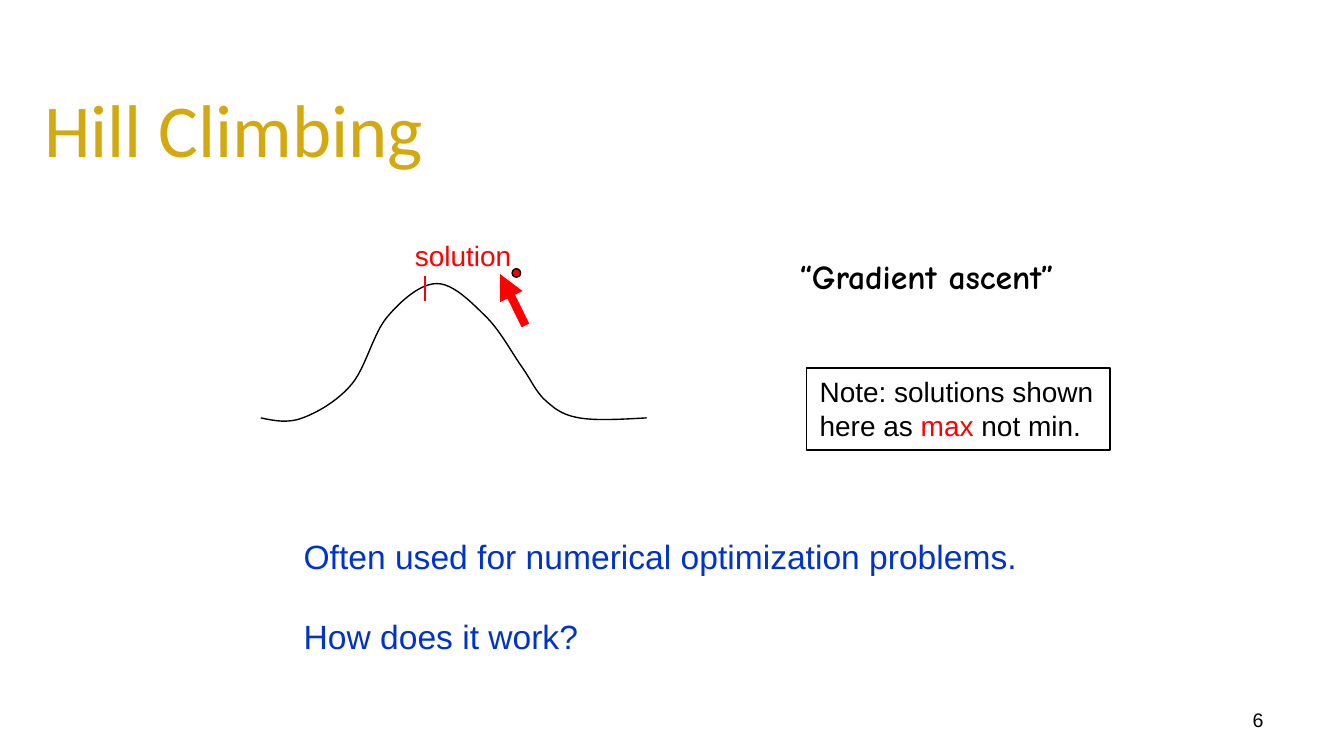
from lxml import etree
from pptx import Presentation
from pptx.dml.color import RGBColor
from pptx.enum.shapes import MSO_CONNECTOR, MSO_SHAPE
from pptx.enum.text import MSO_ANCHOR as ANCHOR, MSO_AUTO_SIZE as FIT, PP_ALIGN as ALIGN
from pptx.oxml.ns import qn
from pptx.util import Cm, Pt

COLORS = {"gold": "D3A90F", "black": "000000", "red": "FF0000", "blue": "0033CC"}

prs = Presentation()
prs.slide_width, prs.slide_height = Cm(25.4), Cm(14.29)
slide = prs.slides.add_slide(prs.slide_layouts[6])
shapes = slide.shapes


def color(name):
    return RGBColor.from_string(COLORS[name])


def write(box, *lines, size, ink="black", font="Arial", bold=False,
          align=ALIGN.LEFT, anchor=ANCHOR.TOP, fit=True, gap=0):
    """Add a text box; each line is a string or a list of (text, color) runs."""
    area = shapes.add_textbox(*[Cm(v) for v in box])
    frame = area.text_frame
    frame.word_wrap = not fit
    frame.auto_size = FIT.SHAPE_TO_FIT_TEXT if fit else FIT.NONE
    frame.vertical_anchor = anchor
    for i, line in enumerate(lines):
        para = frame.add_paragraph() if i else frame.paragraphs[0]
        para.alignment = align
        para.space_before = Pt(gap if i else 0)
        for text, run_ink in [(line, ink)] if isinstance(line, str) else line:
            run = para.add_run()
            run.text = text
            run.font.name, run.font.size, run.font.bold = font, Pt(size), bold
            run.font.color.rgb = color(run_ink)
    return area


# Slide number and title
write((18.21, 13.23, 5.92, 0.76), "6", size=10.5, align=ALIGN.RIGHT,
      anchor=ANCHOR.MIDDLE, fit=False)
write((-3.18, 1.22, 15.19, 2.39), "Hill Climbing", size=40, ink="gold",
      font="Calibri", align=ALIGN.CENTER, anchor=ANCHOR.MIDDLE, fit=False)

write((14.86, 4.72, 5.99, 1.02), "“Gradient ascent”", size=18,
      font="Comic Neue", bold=True)

# Current point beside the hill
point = shapes.add_shape(MSO_SHAPE.OVAL, Cm(9.68), Cm(5.08), Cm(0.16), Cm(0.16))
point.shadow.inherit = False
point.fill.solid()
point.fill.fore_color.rgb = color("red")
point.line.color.rgb = color("black")
point.line.width = Pt(0.75)

# Hill: a smooth (Catmull-Rom) curve; the first and last knots only set the end slopes
knots = [(4.19, 7.59), (4.93, 7.9), (5.72, 7.9), (6.65, 7.26), (7.32, 5.99),
         (8.26, 5.36), (9.19, 5.99), (9.86, 6.93), (10.31, 7.57),
         (10.95, 7.9), (12.22, 7.9), (13.84, 7.75)]
STEPS = 12
curve = [knots[1]]
for before, start, end, after in zip(knots, knots[1:], knots[2:], knots[3:]):
    for step in range(1, STEPS + 1):
        t = step / STEPS
        curve.append([
            (2 * b + (c - a) * t + (2 * a - 5 * b + 4 * c - d) * t**2
             + (3 * b - a - 3 * c + d) * t**3) / 2
            for a, b, c, d in zip(before, start, end, after)])
outline = [(Cm(x), Cm(y)) for x, y in curve]
builder = shapes.build_freeform(*outline[0])
builder.add_line_segments(outline[1:], close=False)
hill = builder.convert_to_shape()
hill.shadow.inherit = False
hill.fill.background()
hill.line.color.rgb = color("black")
hill.line.width = Pt(0.75)

# Solution label, its tick and the climbing arrow
write((7.59, 4.39, 2.36, 0.89), "solution", size=15, ink="red")
for ends, width, arrow in [((9.93, 6.15, 9.45, 5.18), 4.5, True),
                           ((8.03, 5.21, 8.03, 5.69), 0.75, False)]:
    stroke = shapes.add_connector(MSO_CONNECTOR.STRAIGHT, *[Cm(v) for v in ends])
    stroke.line.color.rgb = color("red")
    stroke.line.width = Pt(width)
    if arrow:
        etree.SubElement(stroke.line._get_or_add_ln(), qn("a:tailEnd"), type="triangle")
    etree.SubElement(stroke._element.spPr, qn("a:effectLst"))

# Framed note
note = write((15.24, 6.96, 5.74, 1.55), "Note: solutions shown",
             [("here as ", "black"), ("max", "red"), (" not min.", "black")], size=15)
note.line.color.rgb = color("black")
note.line.width = Pt(0.75)

# Closing remarks
write((5.49, 10.01, 14.12, 2.57), "Often used for numerical optimization problems.",
      "How does it work?", size=18, ink="blue", gap=21)

prs.save("out.pptx")
